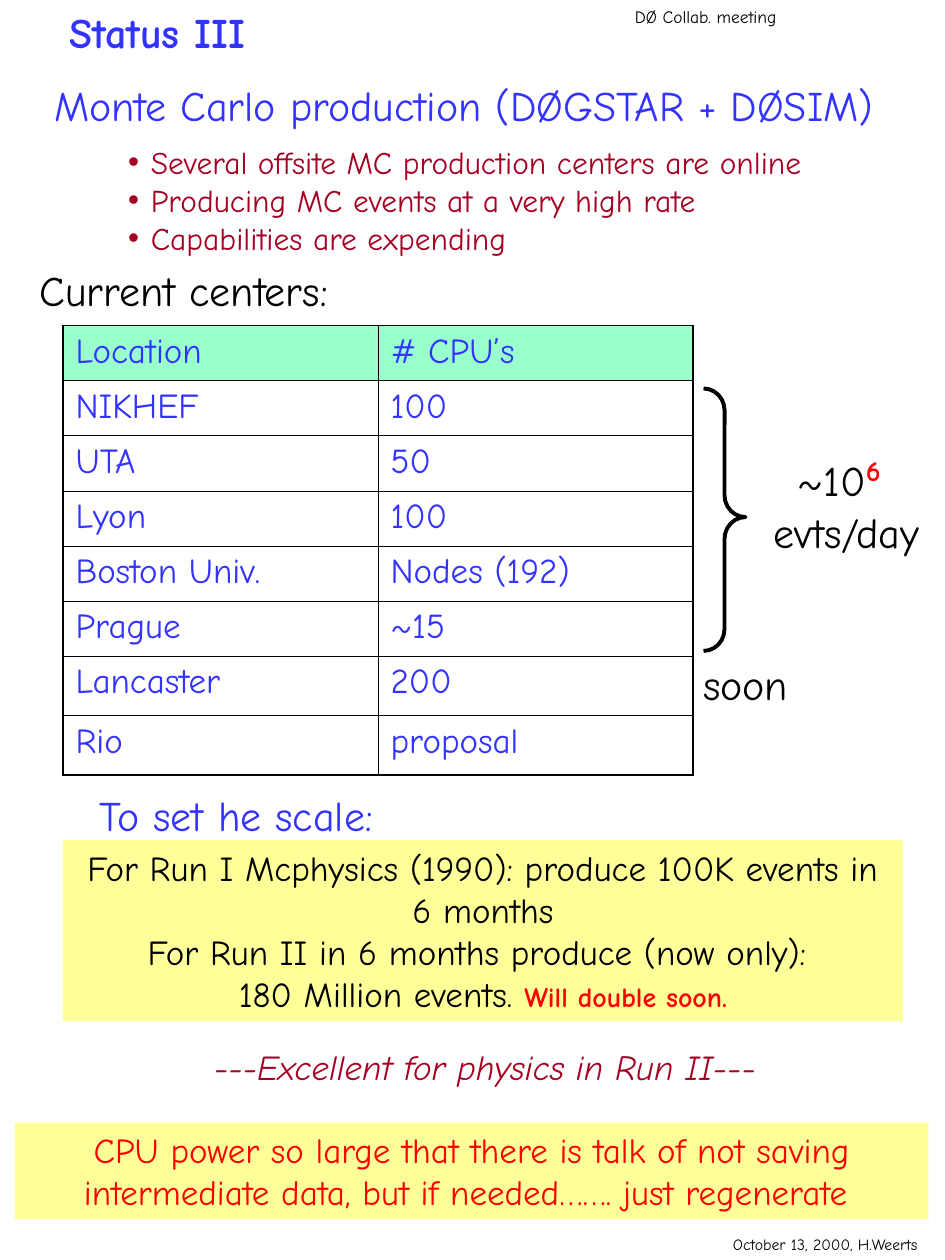
from dataclasses import dataclass

from lxml.etree import SubElement
from pptx import Presentation
from pptx.dml.color import RGBColor
from pptx.enum.shapes import MSO_SHAPE
from pptx.enum.text import MSO_ANCHOR, MSO_AUTO_SIZE, PP_ALIGN
from pptx.oxml.ns import qn
from pptx.util import Pt


@dataclass(frozen=True)
class Theme:
    font: str = "Comic Neue"
    black: str = "000000"
    blue: str = "3333FF"
    crimson: str = "A50021"
    red: str = "FF0000"
    yellow: str = "FFFF99"
    mint: str = "99FFCC"
    heading: float = 24
    body: float = 20
    bullet: float = 18
    remark: float = 16
    exponent: float = 28
    header: float = 10
    footer: float = 9
    outer_border: float = 1.08
    inner_border: float = 0.45
    brace_line: float = 2.25


THEME = Theme()

CENTERS = [
    ("Location", "# CPU’s"),
    ("NIKHEF", "100"),
    ("UTA", "50"),
    ("Lyon", "100"),
    ("Boston Univ.", "Nodes (192)"),
    ("Prague", "~15"),
    ("Lancaster", "200"),
    ("Rio", "proposal"),
]
ROW_HEIGHTS = [31.5] * 6 + [33.8, 34.2]


def format_run(run, size, color, bold=False, italic=False):
    font = run.font
    font.name = THEME.font
    font.size = Pt(size)
    font.bold = bold
    font.italic = italic
    font.color.rgb = RGBColor.from_string(color)


def fill_text(text_frame, lines, size, color, alignment=PP_ALIGN.LEFT, **style):
    text_frame.text = "\n".join(lines)
    for paragraph in text_frame.paragraphs:
        paragraph.alignment = alignment
        paragraph.space_before = Pt(0)
        for run in paragraph.runs:
            format_run(run, size, color, **style)


def place(shape, left, top, width, height):
    shape.left, shape.top = Pt(left), Pt(top)
    shape.width, shape.height = Pt(width), Pt(height)


def add_label(slide, box, lines, size, color, alignment=PP_ALIGN.LEFT, **style):
    label = slide.shapes.add_textbox(*map(Pt, box))
    text_frame = label.text_frame
    text_frame.word_wrap = False
    text_frame.auto_size = MSO_AUTO_SIZE.SHAPE_TO_FIT_TEXT
    fill_text(text_frame, lines, size, color, alignment, **style)
    return text_frame


def add_panel(slide, box, lines, color):
    panel = slide.shapes.add_shape(MSO_SHAPE.RECTANGLE, *map(Pt, box))
    panel.shadow.inherit = False
    panel.fill.solid()
    panel.fill.fore_color.rgb = RGBColor.from_string(THEME.yellow)
    panel.line.fill.background()
    text_frame = panel.text_frame
    text_frame.word_wrap = True
    text_frame.vertical_anchor = MSO_ANCHOR.TOP
    fill_text(text_frame, lines, THEME.body, color, PP_ALIGN.CENTER)
    return text_frame


def add_title(slide, text):
    title = slide.shapes.title
    place(title, 0, 0, 180, 36)
    title.text_frame.vertical_anchor = MSO_ANCHOR.MIDDLE
    title.text_frame.auto_size = MSO_AUTO_SIZE.NONE
    fill_text(title.text_frame, [text], THEME.heading, THEME.blue, PP_ALIGN.CENTER, bold=True)


def add_bullets(slide, lines):
    body = slide.placeholders[1]
    place(body, 66, 78.2, 444, 72)
    body.text_frame.auto_size = MSO_AUTO_SIZE.NONE
    fill_text(body.text_frame, lines, THEME.bullet, THEME.crimson)
    for paragraph in body.text_frame.paragraphs:
        properties = paragraph._p.get_or_add_pPr()
        properties.set("marL", str(Pt(13)))
        properties.set("indent", str(Pt(-13)))
        SubElement(properties, qn("a:buChar"), char="•")


def set_border(cell, side, width):
    line = SubElement(cell._tc.get_or_add_tcPr(), qn(f"a:ln{side}"), w=str(Pt(width)))
    fill = SubElement(line, qn("a:solidFill"))
    SubElement(fill, qn("a:srgbClr"), val=THEME.black)


def format_cell(cell, text, edges, is_header):
    fill_text(cell.text_frame, [text], THEME.body, THEME.blue)
    for side, is_outer in edges.items():
        set_border(cell, side, THEME.outer_border if is_outer else THEME.inner_border)
    if is_header:
        cell.fill.solid()
        cell.fill.fore_color.rgb = RGBColor.from_string(THEME.mint)
    else:
        cell.fill.background()


def add_centers_table(slide):
    frame = slide.shapes.add_table(
        len(CENTERS), 2, Pt(36), Pt(186), Pt(360), Pt(sum(ROW_HEIGHTS))
    )
    table = frame.table
    table.first_row = False
    table.horz_banding = False
    for row_index, (values, height) in enumerate(zip(CENTERS, ROW_HEIGHTS)):
        table.rows[row_index].height = Pt(height)
        for column_index, value in enumerate(values):
            edges = {
                "L": column_index == 0,
                "R": column_index == 1,
                "T": row_index == 0,
                "B": row_index == len(CENTERS) - 1,
            }
            format_cell(table.cell(row_index, column_index), value, edges, row_index == 0)


def add_brace(slide):
    brace = slide.shapes.add_shape(
        MSO_SHAPE.RIGHT_BRACE, Pt(402), Pt(222), Pt(24), Pt(150)
    )
    brace.shadow.inherit = False
    brace.adjustments[0] = 0.52
    brace.adjustments[1] = 0.49
    brace.fill.background()
    brace.line.color.rgb = RGBColor.from_string(THEME.black)
    brace.line.width = Pt(THEME.brace_line)


def add_event_rate(slide):
    text_frame = add_label(
        slide, (433.8, 252, 99.4, 69.8), ["~10", "evts/day"],
        THEME.heading, THEME.black, PP_ALIGN.CENTER,
    )
    paragraph = text_frame.paragraphs[0]
    exponent = paragraph.add_run()
    exponent.text = "6"
    format_run(exponent, THEME.exponent, THEME.red, bold=True)
    exponent._r.get_or_add_rPr().set("baseline", "30000")
    gap = paragraph.add_run()
    gap.text = " "
    format_run(gap, THEME.heading, THEME.black)


def add_scale_panel(slide):
    text_frame = add_panel(
        slide, (36, 480, 480, 103.7),
        [
            "For Run I Mcphysics (1990): produce 100K events in 6 months",
            "For Run II in 6 months produce (now only): ",
            "180 Million events. ",
        ],
        THEME.black,
    )
    remark = text_frame.paragraphs[-1].add_run()
    remark.text = "Will double soon."
    format_run(remark, THEME.remark, THEME.red, bold=True)


def main():
    presentation = Presentation()
    presentation.slide_width, presentation.slide_height = Pt(540), Pt(720)
    slide = presentation.slides.add_slide(presentation.slide_layouts[1])

    add_title(slide, "Status III")
    add_bullets(slide, [
        "Several offsite MC production centers are online",
        "Producing MC events at a very high rate",
        "Capabilities are expending",
    ])
    add_centers_table(slide)
    add_brace(slide)
    add_event_rate(slide)
    add_scale_panel(slide)
    add_panel(
        slide, (8.6, 641.5, 522, 55.4),
        ["CPU power so large that there is talk of not saving intermediate data, "
         "but if needed……. just regenerate "],
        THEME.red,
    )

    labels = [
        ((355.7, 0, 97, 19.4), "DØ Collab. meeting", THEME.header, THEME.black),
        ((411.8, 702, 120.2, 18), "October 13, 2000, H.Weerts", THEME.footer, THEME.black),
        ((23.8, 41.8, 485.3, 36), "Monte Carlo production (DØGSTAR + DØSIM)",
         THEME.heading, THEME.blue),
        ((15.5, 147.6, 180, 36), "Current centers:", THEME.heading, THEME.black),
        ((394.7, 373, 65, 36), "soon", THEME.heading, THEME.black),
        ((49.7, 447.8, 172.8, 36), "To set he scale:", THEME.heading, THEME.blue),
    ]
    for box, text, size, color in labels:
        add_label(slide, box, [text], size, color)
    add_label(
        slide, (115.2, 594, 325.4, 31.7), ["---Excellent for physics in Run II---"],
        THEME.body, THEME.crimson, italic=True,
    )
    presentation.save("out.pptx")


if __name__ == "__main__":
    main()
